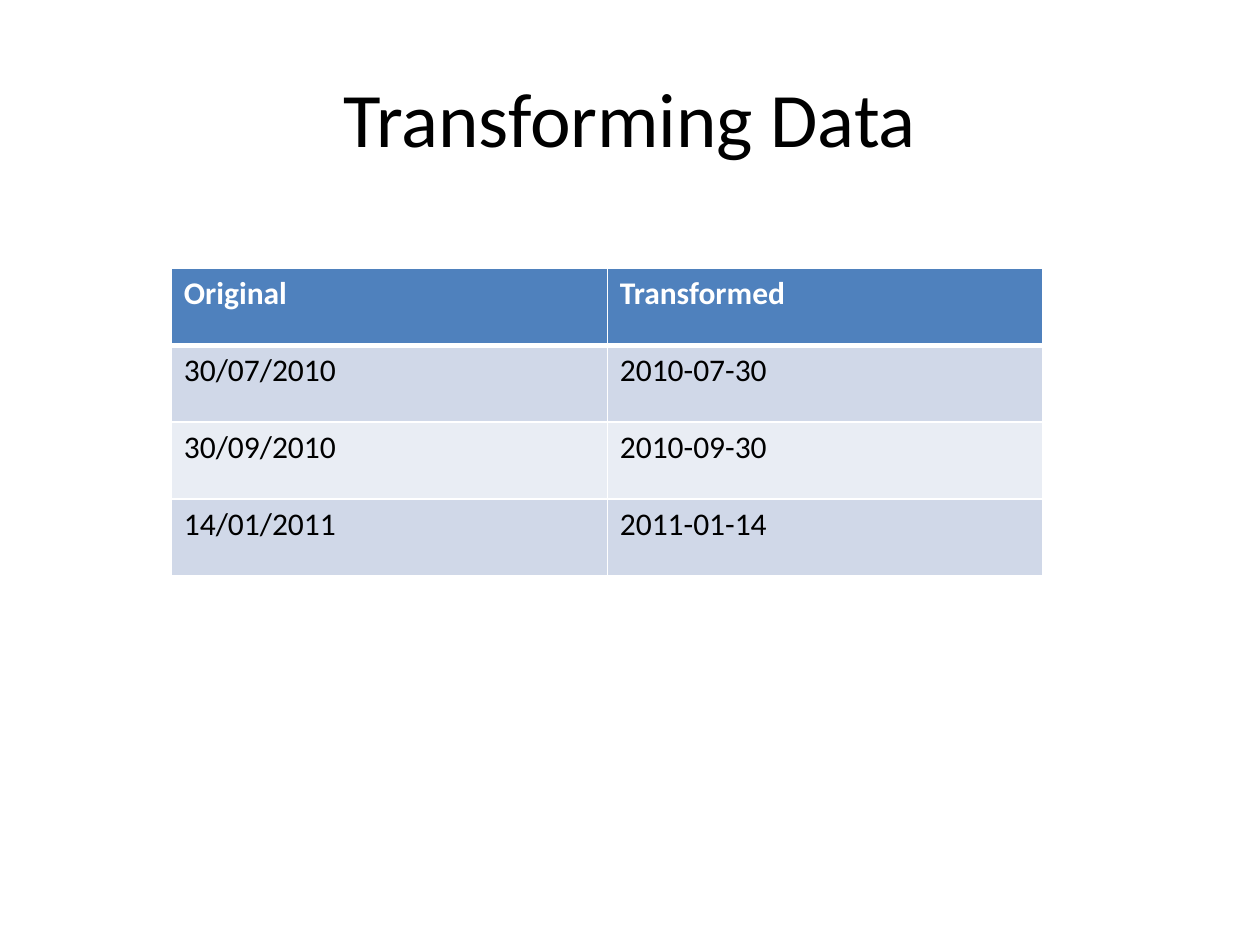
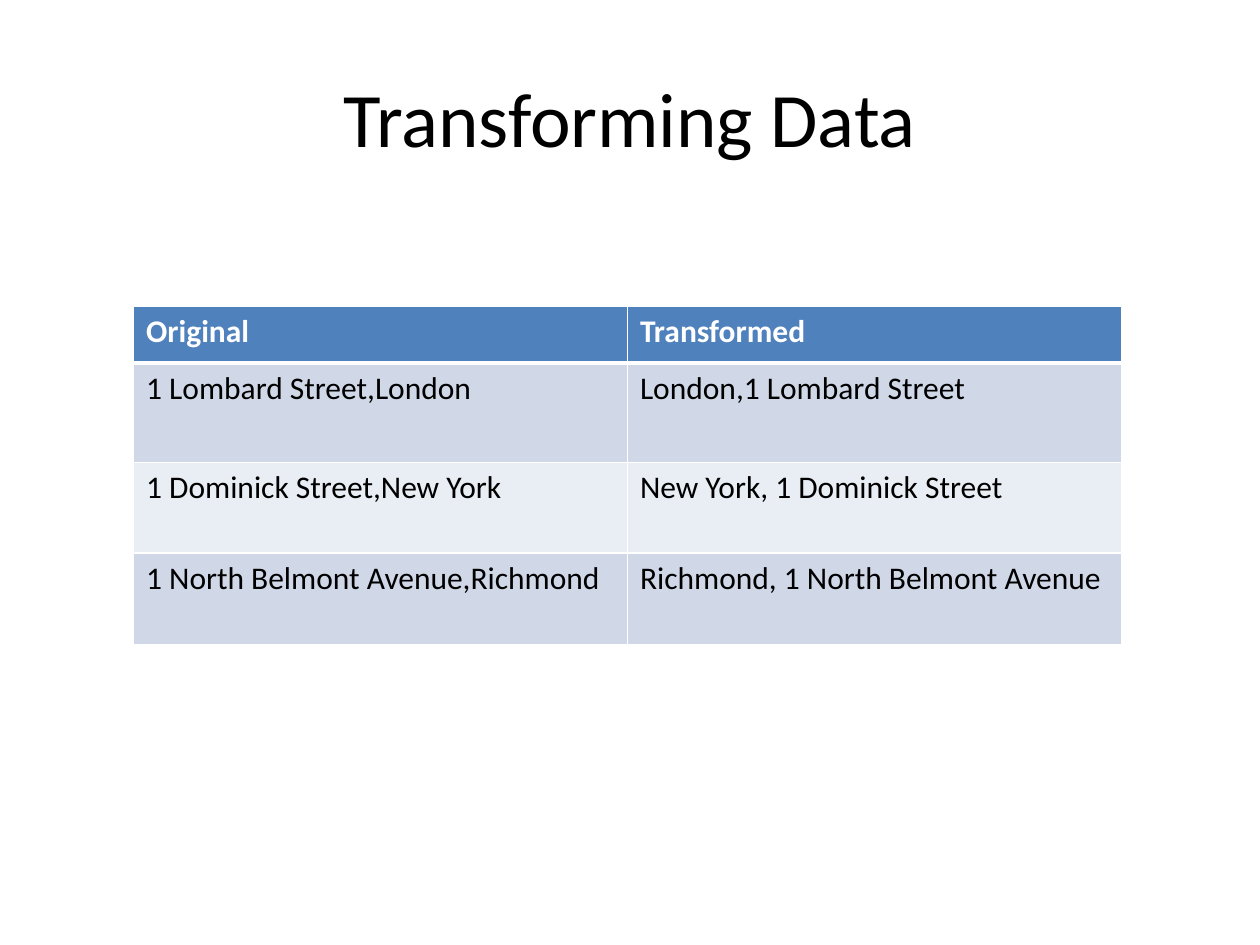
from dataclasses import dataclass

from lxml import etree
from pptx import Presentation
from pptx.dml.color import RGBColor
from pptx.enum.text import MSO_ANCHOR, PP_ALIGN
from pptx.oxml.ns import qn
from pptx.util import Inches, Pt

CENTER, LEFT = PP_ALIGN.CENTER, PP_ALIGN.LEFT
MIDDLE = MSO_ANCHOR.MIDDLE
BLANK_LAYOUT = 6
WIDTH, HEIGHT = 10, 7.5


@dataclass(frozen=True)
class Theme:
    font: str = "Calibri"
    title_size: int = 44
    cell_size: int = 18
    ink: str = "000000"
    paper: str = "FFFFFF"
    header: str = "4F81BD"
    bands: tuple = ("D0D8E8", "E9EDF4")
    thin: int = 1
    thick: int = 3


THEME = Theme()
HEADINGS = ("Original", "Transformed")
DATES = (
    ("30/07/2010", "2010-07-30"),
    ("30/09/2010", "2010-09-30"),
    ("14/01/2011", "2011-01-14"),
)
ADDRESSES = (
    ("1 Lombard Street,London", "London,1 Lombard Street"),
    ("1 Dominick Street,New York", "New York, 1 Dominick Street"),
    ("1 North Belmont Avenue,Richmond", "Richmond, 1 North Belmont Avenue"),
)


def add_span(para, text, size, color, bold=False, align=LEFT):
    para.alignment = align
    span = para.add_run()
    span.text = text
    span.font.name = THEME.font
    span.font.size = Pt(size)
    span.font.bold = bold
    span.font.color.rgb = RGBColor.from_string(color)


def add_title(page, text):
    margin = WIDTH * 0.05
    box = page.shapes.add_textbox(
        Inches(margin), Inches(HEIGHT * 0.04),
        Inches(WIDTH - 2 * margin), Inches(HEIGHT / 6),
    )
    frame = box.text_frame
    frame.word_wrap = True
    frame.vertical_anchor = MIDDLE
    add_span(frame.paragraphs[0], text, THEME.title_size, THEME.ink, align=CENTER)


def add_border(cell, side, width):
    properties = cell._tc.get_or_add_tcPr()
    line = etree.SubElement(properties, qn(f"a:{side}"), w=str(Pt(width)))
    fill = etree.SubElement(line, qn("a:solidFill"))
    etree.SubElement(fill, qn("a:srgbClr"), val=THEME.paper)


def style_cell(cell, row, text):
    is_header = row == 0
    top = THEME.thick if row == 1 else THEME.thin
    bottom = THEME.thick if is_header else THEME.thin
    for side, width in (("lnL", THEME.thin), ("lnR", THEME.thin), ("lnT", top), ("lnB", bottom)):
        add_border(cell, side, width)
    color = THEME.header if is_header else THEME.bands[(row - 1) % len(THEME.bands)]
    cell.fill.solid()
    cell.fill.fore_color.rgb = RGBColor.from_string(color)
    ink = THEME.paper if is_header else THEME.ink
    add_span(cell.text_frame.paragraphs[0], text, THEME.cell_size, ink, bold=is_header)


def add_comparison(page, left, top, column_width, row_heights, records):
    rows = (HEADINGS, *records)
    table = page.shapes.add_table(
        len(rows), len(HEADINGS), Inches(left), Inches(top),
        Inches(column_width * len(HEADINGS)), Inches(sum(row_heights)),
    ).table
    for column in table.columns:
        column.width = Inches(column_width)
    for row, (height, texts) in enumerate(zip(row_heights, rows)):
        table.rows[row].height = Inches(height)
        for column, text in enumerate(texts):
            style_cell(table.cell(row, column), row, text)


def add_page(deck, **comparison):
    page = deck.slides.add_slide(deck.slide_layouts[BLANK_LAYOUT])
    add_title(page, "Transforming Data")
    add_comparison(page, **comparison)


def main():
    deck = Presentation()
    deck.slide_width, deck.slide_height = Inches(WIDTH), Inches(HEIGHT)
    add_page(deck, left=1.36, top=2.13, column_width=3.46,
             row_heights=(0.61,) * 4, records=DATES)
    add_page(deck, left=1.06, top=2.43, column_width=3.92,
             row_heights=(0.45, 0.79, 0.72, 0.73), records=ADDRESSES)
    deck.save("out.pptx")


main()
